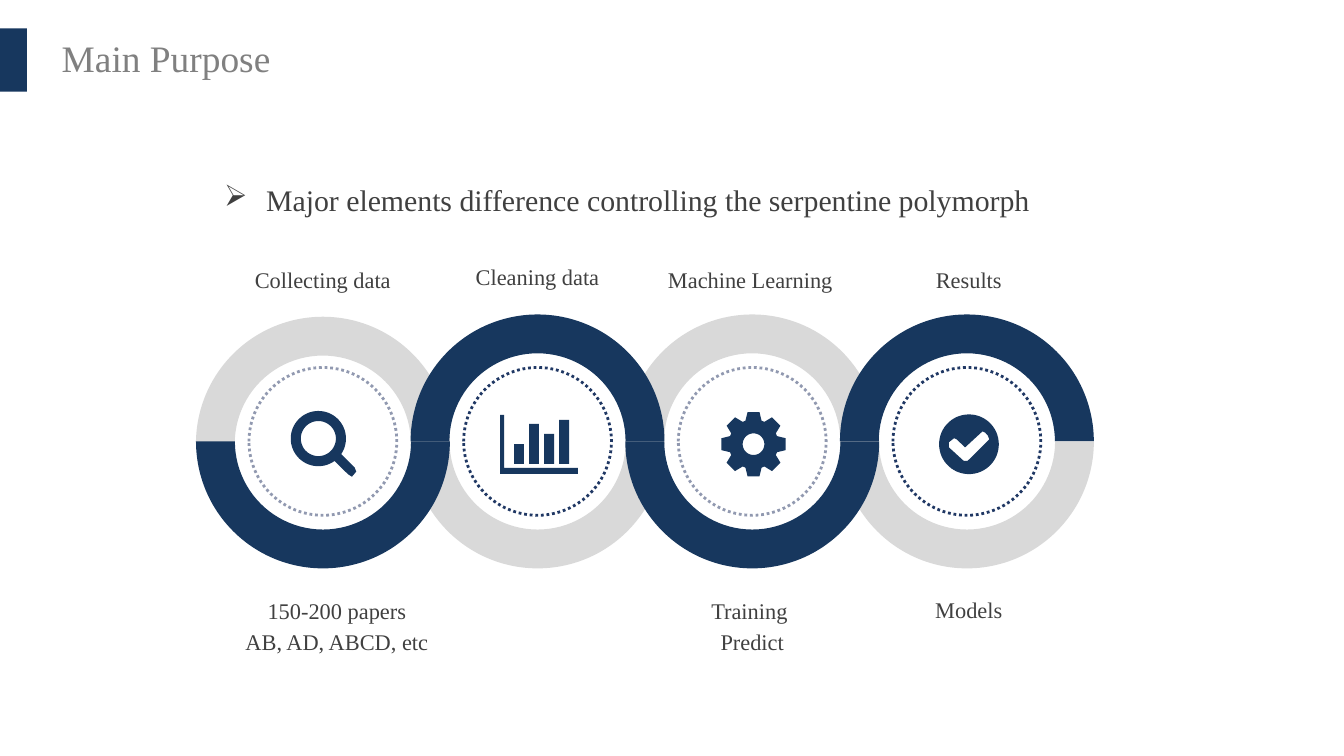
import math
import pptx
import pptx.util
import pptx.dml.color
import pptx.enum.dml
import pptx.enum.shapes
import pptx.enum.text
import pptx.oxml.ns
from lxml import etree

Pt = pptx.util.Pt
SHAPE = pptx.enum.shapes.MSO_SHAPE
ALIGN = pptx.enum.text.PP_ALIGN
FONT = "Times New Roman"
NAVY, GREY, INK = "17375E", "D9D9D9", "404040"
RING, PITCH, DOTTED = 136, 115, 79.2


def paint(color_format, value):
    color_format.rgb = pptx.dml.color.RGBColor.from_string(value)


def fill_plain(shape, color):
    shape.shadow.inherit = False
    shape.fill.solid()
    paint(shape.fill.fore_color, color)
    shape.line.fill.background()


def add_text(slide, box, lines, size, color, align=ALIGN.LEFT, spacing=None,
             wrap=True, inset=7.2, bullet=None):
    frame = slide.shapes.add_textbox(*map(Pt, box)).text_frame
    frame.word_wrap = wrap
    frame.auto_size = pptx.enum.text.MSO_AUTO_SIZE.SHAPE_TO_FIT_TEXT
    frame.margin_left = frame.margin_right = Pt(inset)
    frame.text = "\n".join(lines)
    for paragraph in frame.paragraphs:
        paragraph.alignment = align
        paragraph.line_spacing = spacing
        if bullet:
            properties = paragraph._p.get_or_add_pPr()
            properties.set("marL", str(Pt(22.5)))
            properties.set("indent", str(-Pt(22.5)))
            mark = etree.SubElement(properties, pptx.oxml.ns.qn("a:buChar"))
            mark.set("char", bullet)
        paragraph.font.name = FONT
        paragraph.font.size = Pt(size)
        paint(paragraph.font.color, color)


def circle(x, y, radius, start=0, sweep=360):
    angles = [math.radians(start + sweep * i / 60) for i in range(61)]
    return [(x + radius * math.cos(a), y + radius * math.sin(a)) for a in angles]


def magnifier():
    handle = [(17.1, 14.1), (17.9, 16.2), (15.6, 18.9), (13.5, 17.6)]
    return [circle(-2.4, -1.5, 14.8, 54, 340) + handle, circle(-2.4, -1.5, 9.4)]


def bar_chart():
    axes = [(21.6, 17.4), (-20.1, 17.4), (-20.1, -14.2), (-18, -14.2),
            (-18, 14.2), (21.6, 14.2)]
    bars = []
    for i, top in enumerate([1.4, -9.4, -4, -11.5]):
        left = -12.6 + 8.05 * i
        right = left + 5.3
        bars.append([(left, 12.1), (left, top), (right, top), (right, 12.1)])
    return [axes] + bars


def gear():
    x, y = 0.7, 1.5
    teeth = []
    for tooth in range(8):
        for offset, radius in [(-19, 13.3), (-10.5, 17.5), (10.5, 17.5), (19, 13.3)]:
            angle = math.radians(45 * tooth + offset)
            teeth.append((x + radius * math.cos(angle), y + radius * math.sin(angle)))
    return [teeth, circle(x, y, 5.8)]


def check_mark():
    tick = [(9.8, -4.7), (8.4, -5.4), (7.6, -4.7), (-1, 3.2), (-5.3, -1), (-6.8, -1.8),
            (-9.6, 0.4), (-9.6, 3.2), (-1.7, 10.4), (0.4, 10.4), (12, -1.1), (11.2, -3.2)]
    return [circle(1.1, 1.5, 16), tick]


def add_icon(slide, x, y, contours):
    contours = [[(round(a * 100), round(b * 100)) for a, b in c] for c in contours]
    builder = slide.shapes.build_freeform(*contours[0][0], scale=127)
    for i, contour in enumerate(contours):
        if i:
            builder.move_to(*contour[0])
        builder.add_line_segments(contour[1:], close=True)
    fill_plain(builder.convert_to_shape(Pt(x), Pt(y)), NAVY)


def add_half_ring(slide, left, top, step, lower, color):
    arc = slide.shapes.add_shape(SHAPE.BLOCK_ARC, Pt(left + PITCH * step), Pt(top),
                                 Pt(RING), Pt(RING))
    arc.adjustments[2] = 0.153
    arc.rotation = 180 if lower else 0
    fill_plain(arc, color)


def add_dotted_circle(slide, x, y, color):
    dotted = slide.shapes.add_shape(SHAPE.OVAL, Pt(x - DOTTED / 2), Pt(y - DOTTED / 2),
                                    Pt(DOTTED), Pt(DOTTED))
    dotted.shadow.inherit = False
    dotted.fill.background()
    paint(dotted.line.color, color)
    dotted.line.width = Pt(1.5)
    dotted.line.dash_style = pptx.enum.dml.MSO_LINE.ROUND_DOT


def add_header(slide, left, top):
    add_text(slide, (left + 25.2, top, 128, 31.7), ["Main Purpose"], 20, "808080",
             wrap=False, inset=7.9)
    band = slide.shapes.add_shape(SHAPE.RECTANGLE, Pt(left), Pt(top), Pt(14.4), Pt(34))
    fill_plain(band, NAVY)


def add_process_chain(slide, left, top):
    centers = [left + RING / 2 + PITCH * i for i in range(4)]
    middle = top + RING / 2
    for step, lower, color in [(2, False, GREY), (1, True, GREY), (0, False, GREY),
                               (1, False, NAVY), (3, False, NAVY)]:
        drop = 1.2 if step == 0 else 0
        add_half_ring(slide, left, top + drop, step, lower, color)
    for i, x in enumerate(centers):
        add_dotted_circle(slide, x, middle, ["9199B0", "203864"][i % 2])
    for step, color in [(0, NAVY), (3, GREY), (2, NAVY)]:
        add_half_ring(slide, left, top, step, True, color)
    for x, icon in zip(centers, [magnifier, bar_chart, gear, check_mark]):
        add_icon(slide, x, middle, icon())
    exact = Pt(16.5)
    for step, shift, drop, spacing, lines in [
            (0, 0, -29.5, None, ["Collecting data"]),
            (1, 0, -33, exact, ["Cleaning data"]),
            (2, -1, -29.5, None, ["Machine Learning"]),
            (3, 1, -31.5, exact, ["Results"]),
            (0, 7.5, 146, exact, ["150-200 papers", "AB, AD, ABCD, etc"]),
            (2, 0, 146, exact, ["Training ", "Predict"]),
            (3, 1, 147.5, None, ["Models"])]:
        height = 41.8 if len(lines) > 1 else 22
        box = (centers[step] + shift - 60, top + drop, 120, height)
        add_text(slide, box, lines, 12, INK, ALIGN.CENTER, spacing)


deck = pptx.Presentation()
deck.slide_width, deck.slide_height = Pt(720), Pt(405)
purpose = deck.slides.add_slide(deck.slide_layouts[6])
add_header(purpose, 0, 15.2)
add_text(purpose, (113, 84.2, 533, 33),
         ["Major elements difference controlling the serpentine polymorph"],
         16, INK, spacing=1.5, bullet="➢")
add_process_chain(purpose, 105, 168.5)
deck.save("out.pptx")
